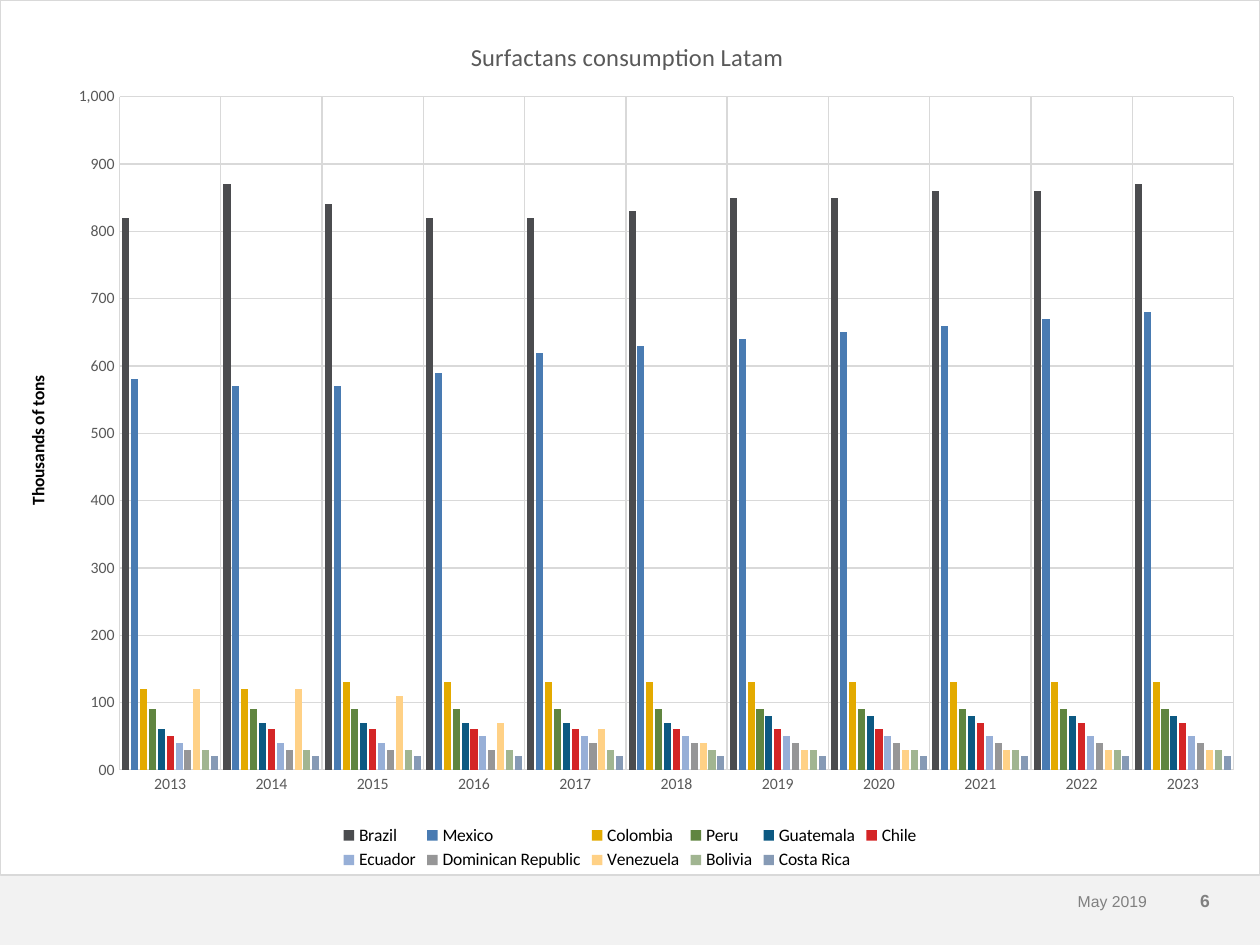
"""Build a slide with a clustered column chart of surfactant consumption in Latin America."""
from dataclasses import dataclass

from lxml.etree import SubElement
from pptx import Presentation
from pptx.chart.data import CategoryChartData
from pptx.dml.color import RGBColor
from pptx.enum.chart import XL_CHART_TYPE, XL_LEGEND_POSITION, XL_TICK_MARK
from pptx.enum.shapes import MSO_SHAPE
from pptx.enum.text import MSO_ANCHOR, PP_ALIGN
from pptx.oxml import parse_xml
from pptx.oxml.ns import nsdecls, qn
from pptx.util import Cm, Pt

TITLE = "Surfactans consumption Latam"
UNIT = "Thousands of tons"
YEARS = [str(year) for year in range(2013, 2024)]
COUNTRIES = [
    ("Brazil", "4B4C4F", [820, 870, 840, 820, 820, 830, 850, 850, 860, 860, 870]),
    ("Mexico", "497BB2", [580, 570, 570, 590, 620, 630, 640, 650, 660, 670, 680]),
    ("Colombia", "E3AA00", [120, 120] + [130] * 9),
    ("Peru", "608540", [90] * 11),
    ("Guatemala", "0C5982", [60] + [70] * 5 + [80] * 5),
    ("Chile", "D42526", [50] + [60] * 7 + [70] * 3),
    ("Ecuador", "97AFD7", [40] * 3 + [50] * 8),
    ("Dominican Republic", "969697", [30] * 4 + [40] * 7),
    ("Venezuela", "FFD186", [120, 120, 110, 70, 60, 40] + [30] * 5),
    ("Bolivia", "A1B591", [30] * 11),
    ("Costa Rica", "869AB5", [20] * 11),
]
FOOTER = [
    ("May 2019", 19.08, 4.29, 9, False),
    ("6", 23.37, 1.27, 10, True),
]


@dataclass(frozen=True)
class Theme:
    chart_font: str = "Calibri"
    footer_font: str = "Arial"
    paper: str = "FFFFFF"
    band: str = "F2F2F2"
    grid: str = "D9D9D9"
    muted: str = "595959"
    footer: str = "808080"
    ink: str = "000000"
    title_size: int = 14
    text_size: int = 10
    axis_size: int = 9
    line_width: float = 0.75


THEME = Theme()


def style_font(font, name, size, color, bold=False):
    font.name, font.size, font.bold = name, Pt(size), bold
    font.color.rgb = RGBColor.from_string(color)


def style_line(line):
    line.color.rgb = RGBColor.from_string(THEME.grid)
    line.width = Pt(THEME.line_width)


def set_layout(parent, position, **fractions):
    for previous in parent.findall(qn("c:layout")):
        parent.remove(previous)
    layout = parse_xml(f"<c:layout {nsdecls('c')}/>")
    manual = SubElement(layout, qn("c:manualLayout"))
    if "w" in fractions:
        SubElement(manual, qn("c:layoutTarget")).set("val", "inner")
    for edge in ("x", "y"):
        SubElement(manual, qn(f"c:{edge}Mode")).set("val", "edge")
    for key, value in fractions.items():
        SubElement(manual, qn(f"c:{key}")).set("val", str(value))
    parent.insert(position, layout)


def add_footer(slide):
    band = slide.shapes.add_shape(MSO_SHAPE.RECTANGLE, 0, Cm(17.32), Cm(25.4), Cm(1.73))
    band.shadow.inherit = False
    band.fill.solid()
    band.fill.fore_color.rgb = RGBColor.from_string(THEME.band)
    band.line.fill.background()
    for text, left, width, size, bold in FOOTER:
        frame = slide.shapes.add_textbox(Cm(left), Cm(17.65), Cm(width), Cm(1.02)).text_frame
        frame.word_wrap = True
        frame.vertical_anchor = MSO_ANCHOR.MIDDLE
        line = frame.paragraphs[0]
        line.text, line.alignment = text, PP_ALIGN.RIGHT
        style_font(line.font, THEME.footer_font, size, THEME.footer, bold)


def style_title(title, text, size, color, bold):
    title.text_frame.text = text
    style_font(title.text_frame.paragraphs[0].font, THEME.chart_font, size, color, bold)


def style_axes(chart):
    for axis in (chart.category_axis, chart.value_axis):
        axis.major_tick_mark = axis.minor_tick_mark = XL_TICK_MARK.NONE
        axis.has_major_gridlines = True
        style_line(axis.major_gridlines.format.line)
        style_font(axis.tick_labels.font, THEME.chart_font, THEME.axis_size, THEME.muted)
    style_line(chart.category_axis.format.line)
    values = chart.value_axis
    values.format.line.fill.background()
    values.minimum_scale, values.maximum_scale, values.major_unit = 0, 1000, 100
    values.tick_labels.number_format = "##,#00"
    values.tick_labels.number_format_is_linked = False
    style_title(values.axis_title, UNIT, THEME.text_size, THEME.ink, True)


def style_chart_area(chart):
    area = parse_xml(
        f"<c:spPr {nsdecls('c', 'a')}>"
        f'<a:solidFill><a:srgbClr val="{THEME.paper}"/></a:solidFill>'
        f'<a:ln w="{Pt(THEME.line_width)}"><a:solidFill>'
        f'<a:srgbClr val="{THEME.grid}"/></a:solidFill></a:ln></c:spPr>'
    )
    chart._chartSpace.find(qn("c:chart")).addnext(area)


def add_consumption_chart(slide):
    data = CategoryChartData(number_format="##,#00")
    data.categories = YEARS
    for name, _, tons in COUNTRIES:
        data.add_series(name, tons)
    chart = slide.shapes.add_chart(
        XL_CHART_TYPE.COLUMN_CLUSTERED, 0, 0, Cm(25.4), Cm(17.65), data
    ).chart
    style_font(chart.font, THEME.chart_font, THEME.text_size, THEME.ink)
    style_title(chart.chart_title, TITLE, THEME.title_size, THEME.muted, False)
    chart.has_legend = True
    chart.legend.position = XL_LEGEND_POSITION.BOTTOM
    chart.legend.include_in_layout = False
    style_font(chart.legend.font, THEME.chart_font, THEME.text_size, THEME.ink)
    plot = chart.plots[0]
    plot.gap_width, plot.overlap, plot.vary_by_categories = 75, -25, False
    for series, (_, color, _) in zip(plot.series, COUNTRIES):
        series.format.fill.solid()
        series.format.fill.fore_color.rgb = RGBColor.from_string(color)
    style_axes(chart)
    style_chart_area(chart)
    set_layout(chart.chart_title._element, 1, x=0.37, y=0.04)
    plot_area = chart._chartSpace.find(qn("c:chart")).find(qn("c:plotArea"))
    set_layout(plot_area, 0, x=0.0945, y=0.11, w=0.885, h=0.77)


def main():
    deck = Presentation()
    deck.slide_width, deck.slide_height = Cm(25.4), Cm(19.05)
    slide = deck.slides.add_slide(deck.slide_layouts[6])
    add_footer(slide)
    add_consumption_chart(slide)
    deck.save("out.pptx")


if __name__ == "__main__":
    main()
